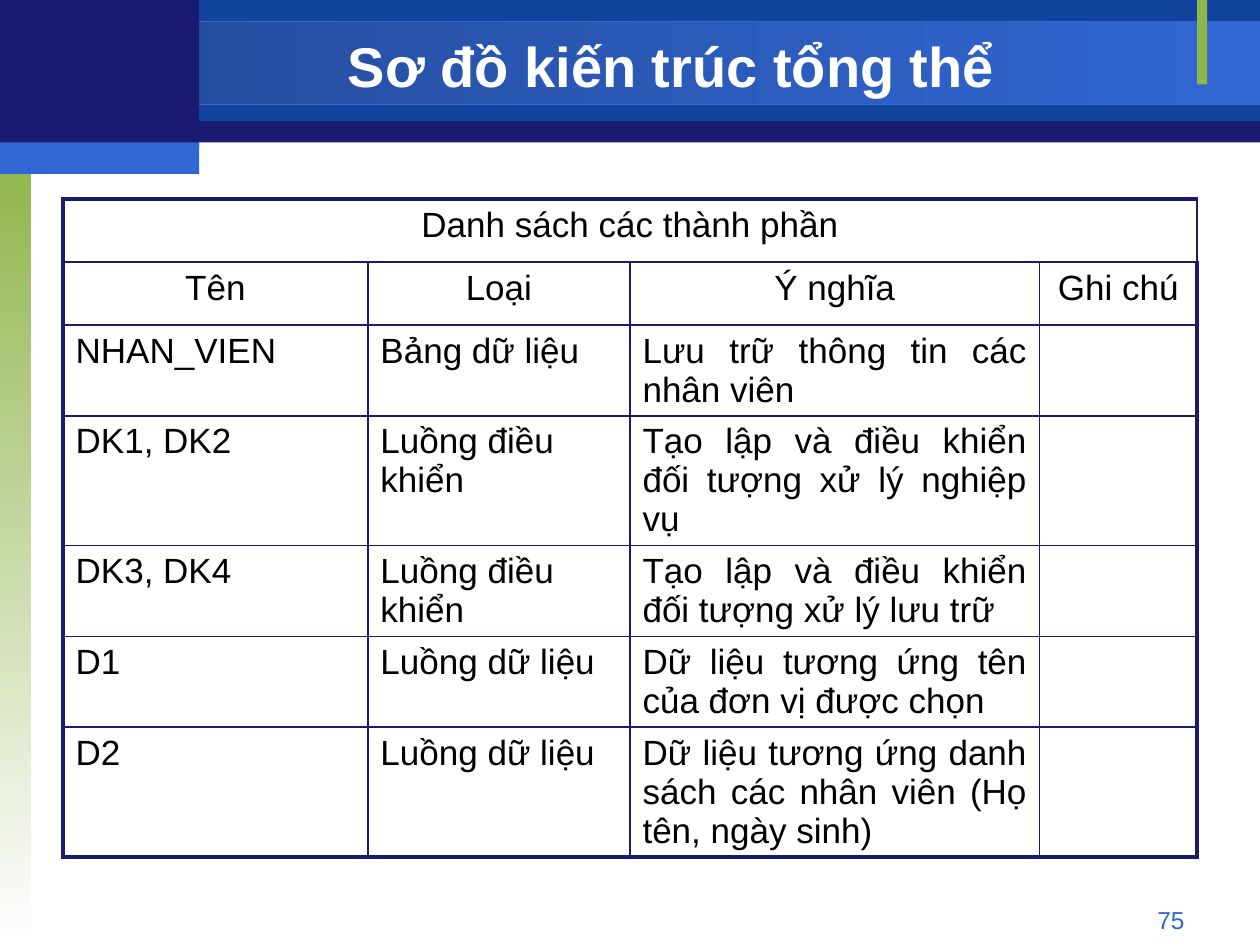
from dataclasses import dataclass

from lxml import etree
from pptx import Presentation
from pptx import util as u
from pptx.dml.color import RGBColor
from pptx.enum import shapes, text
from pptx.oxml.ns import qn

COLORS = {
    "navy": "1A1A70",
    "blue": "12449E",
    "deep": "234A97",
    "bright": "3167D3",
    "green": "90B54D",
    "white": "FFFFFF",
    "black": "000000",
}
FONT = "Arial"
LEFT, CENTER, RIGHT, JUSTIFY = (
    text.PP_ALIGN.LEFT, text.PP_ALIGN.CENTER, text.PP_ALIGN.RIGHT, text.PP_ALIGN.JUSTIFY)

HEADINGS = ["Tên", "Loại", "Ý nghĩa", "Ghi chú"]
COMPONENTS = [
    ["NHAN_VIEN", "Bảng dữ liệu", "Lưu trữ thông tin các nhân viên", ""],
    ["DK1, DK2", "Luồng điều khiển", "Tạo lập và điều khiển đối tượng xử lý nghiệp vụ", ""],
    ["DK3, DK4", "Luồng điều khiển", "Tạo lập và điều khiển đối tượng xử lý lưu trữ", ""],
    ["D1", "Luồng dữ liệu", "Dữ liệu tương ứng tên của đơn vị được chọn", ""],
    ["D2", "Luồng dữ liệu", "Dữ liệu tương ứng danh sách các nhân viên (Họ tên, ngày sinh)", ""],
]
COLUMN_WIDTHS = [2.42, 2.08, 3.25, 1.25]
ROW_HEIGHTS = [0.5, 0.5, 0.72, 1.03, 0.72, 0.72, 1.03]
COLUMN_ALIGNS = [LEFT, LEFT, JUSTIFY, LEFT]


@dataclass
class Band:
    left: float
    top: float
    width: float
    height: float
    color: str
    end_color: str = ""
    angle: int = 0
    outline: str = ""


BANDS = [
    Band(0, 0.01, 10, 1.12, "navy"),
    Band(1.58, 0, 8.42, 0.96, "blue"),
    Band(0, 0.17, 10, 0.66, "deep", end_color="bright", outline="bright"),
    Band(0, 1.25, 0.25, 6.25, "green", end_color="white", angle=270),
    Band(9.5, 0, 0.08, 0.67, "green"),
    Band(0, 0, 1.58, 1.17, "navy"),
    Band(0, 1.13, 1.58, 0.25, "bright"),
]


def rgb(name: str) -> RGBColor:
    return RGBColor.from_string(COLORS[name])


def draw_band(page, band: Band) -> None:
    box = page.shapes.add_shape(
        shapes.MSO_SHAPE.RECTANGLE, u.Inches(band.left), u.Inches(band.top),
        u.Inches(band.width), u.Inches(band.height))
    box.shadow.inherit = False
    if band.end_color:
        box.fill.gradient()
        box.fill.gradient_angle = band.angle
        for stop, name, position in zip(
                box.fill.gradient_stops, (band.color, band.end_color), (0, 1)):
            stop.color.rgb = rgb(name)
            stop.position = position
    else:
        box.fill.solid()
        box.fill.fore_color.rgb = rgb(band.color)
    if band.outline:
        box.line.color.rgb = rgb(band.outline)
        box.line.width = u.Pt(0.75)
    else:
        box.line.fill.background()


def write(frame, words: str, size: float, color: str, align, bold: bool = False) -> None:
    frame.text = words
    para = frame.paragraphs[0]
    para.alignment = align
    para.font.size = u.Pt(size)
    for span in para.runs:
        span.font.name = FONT
        span.font.size = u.Pt(size)
        span.font.bold = bold
        span.font.color.rgb = rgb(color)


def set_borders(cell, widths: dict[str, float]) -> None:
    """Put border lines, keyed by side, before the fill of the cell."""
    properties = cell._tc.get_or_add_tcPr()
    for index, (side, width) in enumerate(widths.items()):
        line = etree.Element(qn(f"a:ln{side}"), w=str(u.Pt(width)))
        fill = etree.SubElement(line, qn("a:solidFill"))
        etree.SubElement(fill, qn("a:srgbClr"), val=COLORS["navy"])
        properties.insert(index, line)


def draw_table(page) -> None:
    rows = [["Danh sách các thành phần", "", "", ""], HEADINGS, *COMPONENTS]
    last_row, last_column = len(rows) - 1, len(HEADINGS) - 1
    table = page.shapes.add_table(
        len(rows), len(HEADINGS), u.Inches(0.5), u.Inches(1.58),
        u.Inches(sum(COLUMN_WIDTHS)), u.Inches(sum(ROW_HEIGHTS))).table
    table.first_row = table.horz_banding = False
    for column, width in zip(table.columns, COLUMN_WIDTHS):
        column.width = u.Inches(width)
    for row, height in zip(table.rows, ROW_HEIGHTS):
        row.height = u.Inches(height)
    for r, words in enumerate(rows):
        for c, word in enumerate(words):
            cell = table.cell(r, c)
            cell.fill.background()
            align = CENTER if r < 2 else COLUMN_ALIGNS[c]
            write(cell.text_frame, word, 20, "black", align)
            outer = {"L": c == 0, "R": c == last_column, "T": r == 0, "B": r == last_row}
            set_borders(cell, {side: 2.25 if edge else 1 for side, edge in outer.items()})
    table.cell(0, 0).merge(table.cell(0, last_column))


def place_title(page) -> None:
    title = page.shapes.title
    title.left, title.top = u.Inches(1.58), u.Inches(0.23)
    title.width, title.height = u.Inches(7.5), u.Inches(0.58)
    frame = title.text_frame
    frame.auto_size = text.MSO_AUTO_SIZE.NONE
    frame.vertical_anchor = text.MSO_ANCHOR.MIDDLE
    write(frame, "Sơ đồ kiến trúc tổng thể", 32, "white", CENTER, bold=True)
    page.shapes._spTree.append(title._element)  # in front of the bands


def place_page_number(page) -> None:
    box = page.shapes.add_textbox(
        u.Inches(7.17), u.Inches(7.13), u.Inches(2.33), u.Inches(0.27))
    box.text_frame.word_wrap = True
    write(box.text_frame, "75", 14, "bright", RIGHT)


def main() -> None:
    deck = Presentation()
    deck.slide_width, deck.slide_height = u.Inches(10), u.Inches(7.5)
    page = deck.slides.add_slide(deck.slide_layouts.get_by_name("Title Only"))
    for band in BANDS:
        draw_band(page, band)
    place_page_number(page)
    place_title(page)
    draw_table(page)
    deck.save("out.pptx")


if __name__ == "__main__":
    main()
